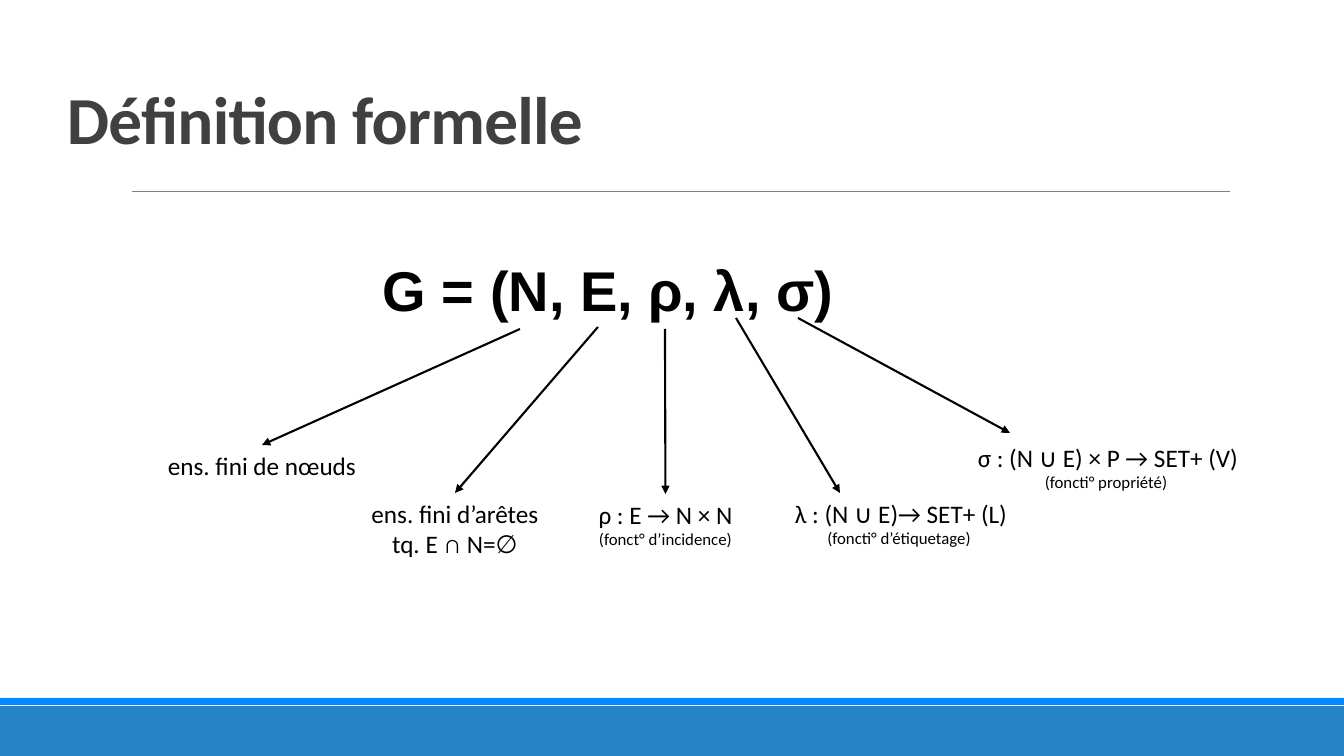
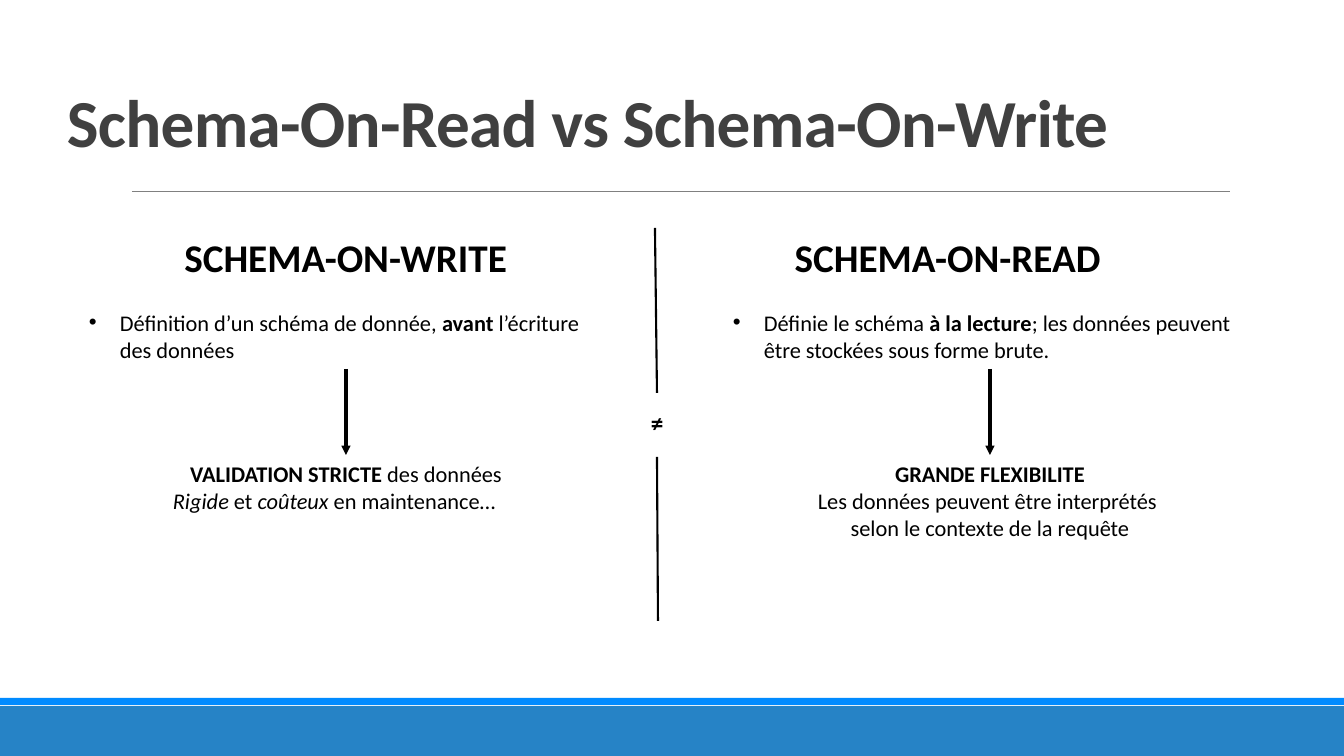
from dataclasses import dataclass

from lxml.etree import SubElement
from pptx import Presentation
from pptx.dml.color import RGBColor
from pptx.enum.shapes import MSO_CONNECTOR, MSO_SHAPE
from pptx.enum.text import MSO_ANCHOR, PP_ALIGN
from pptx.oxml.ns import qn
from pptx.shapes.autoshape import Shape
from pptx.shapes.connector import Connector
from pptx.slide import Slide
from pptx.util import Emu, Pt

SLIDE_W, SLIDE_H = 1344, 756
BLACK = RGBColor(0x00, 0x00, 0x00)
TITLE_GRAY = RGBColor(0x40, 0x40, 0x40)
RULE_GRAY = RGBColor(0x80, 0x80, 0x80)
BAND_BLUE = RGBColor(0x26, 0x83, 0xC6)
ACCENT_BLUE = RGBColor(0x01, 0x8B, 0xFF)
TOP, BOTTOM = 0, 2
BULLET_INDENT = 31

Point = tuple[int, int]


@dataclass(frozen=True)
class Box:
    left: int
    top: int
    width: int
    height: int


@dataclass(frozen=True)
class Run:
    text: str
    size: int = 16
    bold: bool = False
    italic: bool = False
    font: str = "Calibri"
    color: RGBColor = BLACK


@dataclass(frozen=True)
class Para:
    runs: list[Run]
    align: PP_ALIGN = PP_ALIGN.CENTER
    bullet: bool = False


@dataclass(frozen=True)
class Term:
    """One member of the tuple G, with the arrow that leads to its meaning."""
    box: Box
    lines: list[Run]
    start: Point
    end: Point | None = None  # None: middle of the box's top side


@dataclass(frozen=True)
class Column:
    heading_box: Box
    heading: str
    definition_box: Box
    definition: list[Run]
    outcome_box: Box
    outcome: list[Para]


def px(n: int) -> Emu:
    return Emu(round(n * 9144000 / 1008))


def add_text(s: Slide, box: Box, paras: list[Para]) -> Shape:
    sp = s.shapes.add_textbox(px(box.left), px(box.top), px(box.width), px(box.height))
    tf = sp.text_frame
    tf.word_wrap = True
    for i, para in enumerate(paras):
        p = tf.paragraphs[0] if i == 0 else tf.add_paragraph()
        p.alignment = para.align
        if para.bullet:
            pPr = p._p.get_or_add_pPr()
            pPr.set("marL", str(px(BULLET_INDENT)))
            pPr.set("indent", str(-px(BULLET_INDENT)))
            SubElement(pPr, qn("a:buFont"), typeface="Arial")
            SubElement(pPr, qn("a:buChar"), char="•")
        for run in para.runs:
            r = p.add_run()
            r.text = run.text
            r.font.name = run.font
            r.font.size = Pt(run.size)
            r.font.bold = run.bold
            r.font.italic = run.italic
            r.font.color.rgb = run.color
    return sp


def add_line(s: Slide, start: Point, end: Point, width: float = 1.5,
             color: RGBColor = BLACK, arrow: bool = False) -> Connector:
    line = s.shapes.add_connector(MSO_CONNECTOR.STRAIGHT, *map(px, start + end))
    line.line.color.rgb = color
    line.line.width = Pt(width)
    if arrow:
        SubElement(line.line._get_or_add_ln(), qn("a:tailEnd"), type="triangle")
    SubElement(line._element.spPr, qn("a:effectLst"))
    return line


def add_band(s: Slide, top: int, height: int, color: RGBColor) -> None:
    sp = s.shapes.add_shape(MSO_SHAPE.RECTANGLE, 0, px(top), px(SLIDE_W), px(height))
    sp.shadow.inherit = False
    sp.fill.solid()
    sp.fill.fore_color.rgb = color
    sp.line.fill.background()


def add_titled_slide(prs: Presentation, title: str, title_box: Box) -> Slide:
    s = prs.slides.add_slide(prs.slide_layouts[6])
    add_band(s, 706, 50, BAND_BLUE)
    add_band(s, 698, 7, ACCENT_BLUE)
    add_line(s, (132, 191), (1230, 191), 0.5, RULE_GRAY)
    run = Run(title, 48, bold=True, color=TITLE_GRAY)
    tf = add_text(s, title_box, [Para([run], PP_ALIGN.LEFT)]).text_frame
    tf.vertical_anchor = MSO_ANCHOR.BOTTOM
    p = tf.paragraphs[0]
    p.line_spacing = 0.85
    p.runs[0]._r.get_or_add_rPr().set("spc", "-50")
    return s


def add_term(s: Slide, term: Term) -> None:
    sp = add_text(s, term.box, [Para([run]) for run in term.lines])
    arrow = add_line(s, term.start, term.end or term.start, arrow=True)
    if term.end is None:
        arrow.end_connect(sp, TOP)


def add_column(s: Slide, column: Column) -> None:
    add_text(s, column.heading_box, [Para([Run(column.heading, 28, bold=True)])])
    definition = add_text(s, column.definition_box,
                          [Para(column.definition, PP_ALIGN.LEFT, bullet=True)])
    outcome = add_text(s, column.outcome_box, column.outcome)
    arrow = add_line(s, (0, 0), (0, 0), 2.25, arrow=True)
    arrow.begin_connect(definition, BOTTOM)
    arrow.end_connect(outcome, TOP)


TERMS = [
    Term(Box(157, 445, 210, 61), [Run("ens. fini de nœuds", 18)], (520, 329)),
    Term(Box(350, 493, 210, 72),
         [Run("ens. fini d’arêtes", 18), Run("tq. E ∩ N=∅", 18)], (598, 327)),
    Term(Box(583, 494, 165, 82),
         [Run("ρ : E → N × N", 18), Run("(fonct° d’incidence)", 12)], (665, 329)),
    Term(Box(781, 493, 240, 82),
         [Run("λ : (N ∪ E)→ SET+ (L)", 18), Run("(foncti° d’étiquetage) ", 12)],
         (736, 318), (840, 493)),
    Term(Box(967, 437, 282, 82),
         [Run("σ : (N ∪ E) × P → SET+ (V)", 18), Run("(foncti° propriété) ", 12)],
         (798, 318), (1010, 433)),
]

COLUMNS = [
    Column(
        Box(145, 228, 401, 57), "SCHEMA-ON-WRITE",
        Box(79, 304, 534, 65),
        [Run("Définition d’un schéma de donnée, "), Run("avant", bold=True),
         Run(" l’écriture des données")],
        Box(163, 455, 366, 65),
        [Para([Run("VALIDATION STRICTE ", bold=True), Run("des données")]),
         Para([Run("Rigide", italic=True), Run(" et "), Run("coûteux", italic=True),
               Run(" en maintenance…")], PP_ALIGN.LEFT)],
    ),
    Column(
        Box(747, 228, 401, 57), "SCHEMA-ON-READ",
        Box(723, 304, 534, 65),
        [Run("Définie le schéma "), Run("à la lecture", bold=True),
         Run("; les données peuvent être stockées sous forme brute.")],
        Box(802, 455, 376, 92),
        [Para([Run("GRANDE FLEXIBILITE", bold=True)]),
         Para([Run("Les données peuvent être interprétés ")]),
         Para([Run("selon le contexte de la requête")])],
    ),
]


def build_definition(prs: Presentation) -> None:
    s = add_titled_slide(prs, "Définition formelle", Box(57, 80, 1109, 83))
    formula = Run("G = (N, E, ρ, λ, σ)", 40, bold=True, font="Arial")
    add_text(s, Box(373, 251, 477, 78), [Para([formula], PP_ALIGN.LEFT)])
    for term in TERMS:
        add_term(s, term)


def build_comparison(prs: Presentation) -> None:
    s = add_titled_slide(prs, "Schema-On-Read vs Schema-On-Write", Box(57, 80, 1201, 86))
    for column in COLUMNS:
        add_column(s, column)
    add_text(s, Box(641, 402, 33, 40), [Para([Run("≠", 18, bold=True)], PP_ALIGN.LEFT)])
    add_line(s, (655, 228), (657, 393))
    add_line(s, (657, 457), (658, 621))


def main() -> None:
    prs = Presentation()
    prs.slide_width, prs.slide_height = px(SLIDE_W), px(SLIDE_H)
    build_definition(prs)
    build_comparison(prs)
    prs.save("out.pptx")


if __name__ == "__main__":
    main()
